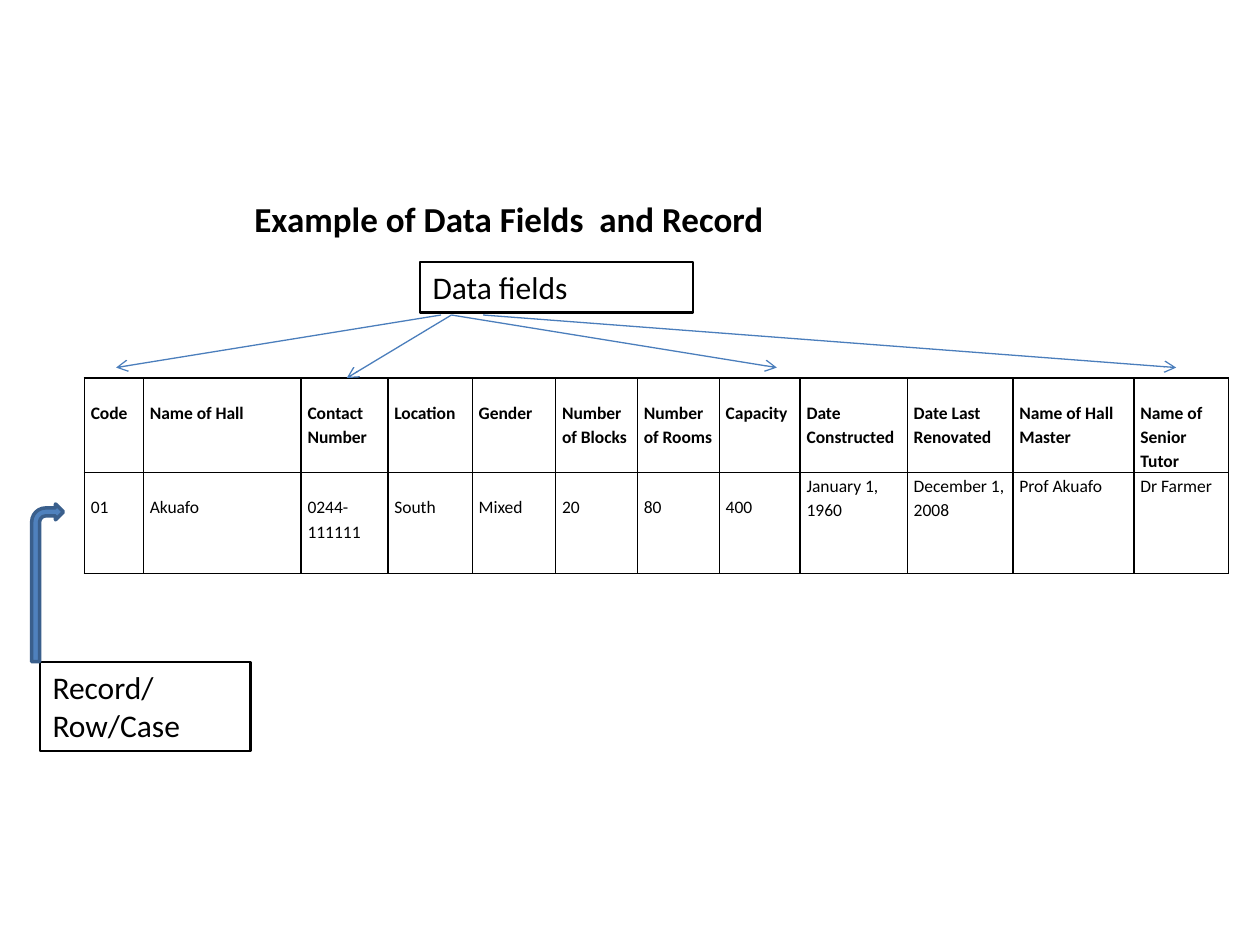
from dataclasses import dataclass
from typing import Any

from lxml import etree
from pptx import Presentation
from pptx import util as u
from pptx.dml import color
from pptx.enum import shapes, text
from pptx.oxml import ns

FONT = "Calibri"
BLACK = "000000"
ARROW_BLUE = "4B7EBC"


@dataclass(frozen=True)
class Label:
    wording: str
    left: float
    top: float
    width: float
    height: float
    size: int
    bold: bool = False
    outlined: bool = True
    anchor: Any = text.MSO_ANCHOR.TOP


@dataclass(frozen=True)
class FieldArrow:
    start: tuple[float, float]
    end: tuple[float, float]


@dataclass(frozen=True)
class Field:
    heading: str
    value: str
    width: float
    value_offset: float = 0.43


LABELS = [
    Label("Example of Data Fields  and Record", 4.88, 3.38, 15.24, 1.57, 20,
          bold=True, outlined=False, anchor=text.MSO_ANCHOR.BOTTOM),
    Label("Data fields", 8.47, 5.28, 5.5, 1.02, 18),
    Label("Record/Row/Case", 0.81, 13.34, 4.24, 1.8, 18),
]
ARROWS = [
    FieldArrow((8.89, 6.35), (2.34, 7.41)),
    FieldArrow((9.74, 6.35), (23.71, 7.41)),
    FieldArrow((9.1, 6.35), (6.99, 7.62)),
    FieldArrow((9.1, 6.35), (15.66, 7.41)),
]
FIELDS = [
    Field("Code", "01", 1.19),
    Field("Name of Hall", "Akuafo", 3.18),
    Field("Contact Number", "0244-111111", 1.75),
    Field("Location", "South", 1.7),
    Field("Gender", "Mixed", 1.68),
    Field("Number of Blocks", "20", 1.65),
    Field("Number of Rooms", "80", 1.65),
    Field("Capacity", "400", 1.63),
    Field("Date Constructed", "January 1, 1960", 2.16, 0),
    Field("Date Last Renovated", "December 1, 2008", 2.13, 0),
    Field("Name of Hall Master", "Prof Akuafo", 2.44, 0),
    Field("Name of Senior Tutor", "Dr Farmer", 1.9, 0),
]
ROW_HEIGHTS = [1.9, 2.03]


def apply(target: Any, formats: dict[str, Any]) -> None:
    for name, value in formats.items():
        setattr(target, name, value)


def rgb(value: str) -> color.RGBColor:
    return color.RGBColor.from_string(value)


def style_line(line: Any, hex_color: str, width: float) -> None:
    line.color.rgb = rgb(hex_color)
    line.width = u.Pt(width)


def write(paragraph: Any, wording: str, size: int, bold: bool) -> None:
    run = paragraph.add_run()
    run.text = wording
    apply(run.font, {"name": FONT, "size": u.Pt(size), "bold": bold})
    run.font.color.rgb = rgb(BLACK)


def add_label(slide: Any, label: Label) -> None:
    box = slide.shapes.add_textbox(u.Cm(label.left), u.Cm(label.top),
                                   u.Cm(label.width), u.Cm(label.height))
    apply(box.text_frame, {"word_wrap": True, "vertical_anchor": label.anchor})
    write(box.text_frame.paragraphs[0], label.wording, label.size, label.bold)
    if label.outlined:
        style_line(box.line, BLACK, 1.25)


def add_arrow(slide: Any, arrow: FieldArrow) -> None:
    points = [u.Cm(value) for value in arrow.start + arrow.end]
    connector = slide.shapes.add_connector(shapes.MSO_CONNECTOR.STRAIGHT, *points)
    style_line(connector.line, ARROW_BLUE, 0.75)
    outline = connector.line._get_or_add_ln()
    etree.SubElement(outline, ns.qn("a:tailEnd"), type="arrow")
    etree.SubElement(connector._element.spPr, ns.qn("a:effectLst"))


def add_borders(cell: Any) -> None:
    properties = cell._tc.get_or_add_tcPr()
    for index, side in enumerate(("lnL", "lnR", "lnT", "lnB")):
        border = etree.Element(ns.qn(f"a:{side}"), w=str(u.Pt(1)))
        fill = etree.SubElement(border, ns.qn("a:solidFill"))
        etree.SubElement(fill, ns.qn("a:srgbClr"), val=BLACK)
        properties.insert(index, border)


def fill_cell(cell: Any, wording: str, offset: float, bold: bool) -> None:
    apply(cell, {"margin_left": u.Cm(0.13), "margin_right": u.Cm(0.13),
                 "margin_top": u.Cm(offset), "margin_bottom": 0})
    cell.fill.background()
    paragraph = cell.text_frame.paragraphs[0]
    paragraph.line_spacing = 1.15
    write(paragraph, wording, 10, bold)
    add_borders(cell)


def add_record_table(slide: Any) -> None:
    width = sum(field.width for field in FIELDS)
    frame = slide.shapes.add_table(len(ROW_HEIGHTS), len(FIELDS), u.Cm(1.7), u.Cm(7.62),
                                   u.Cm(width), u.Cm(sum(ROW_HEIGHTS)))
    table = frame.table
    apply(table, {"first_row": False, "horz_banding": False})
    for row, height in zip(table.rows, ROW_HEIGHTS):
        row.height = u.Cm(height)
    for index, field in enumerate(FIELDS):
        table.columns[index].width = u.Cm(field.width)
        fill_cell(table.cell(0, index), field.heading, 0.43, True)
        fill_cell(table.cell(1, index), field.value, field.value_offset, False)


def add_record_pointer(slide: Any) -> None:
    pointer = slide.shapes.add_shape(shapes.MSO_SHAPE.BENT_ARROW, u.Cm(0.64), u.Cm(10.16),
                                     u.Cm(0.64), u.Cm(3.18))
    pointer.shadow.inherit = False
    pointer.fill.solid()
    pointer.fill.fore_color.rgb = rgb("4F81BD")
    style_line(pointer.line, "3A5F8C", 2)


def main() -> None:
    presentation = Presentation()
    apply(presentation, {"slide_width": u.Cm(25.4), "slide_height": u.Cm(19.05)})
    slide = presentation.slides.add_slide(presentation.slide_layouts[6])
    add_record_table(slide)
    for label in LABELS:
        add_label(slide, label)
    for arrow in ARROWS:
        add_arrow(slide, arrow)
    add_record_pointer(slide)
    presentation.save("out.pptx")


main()
